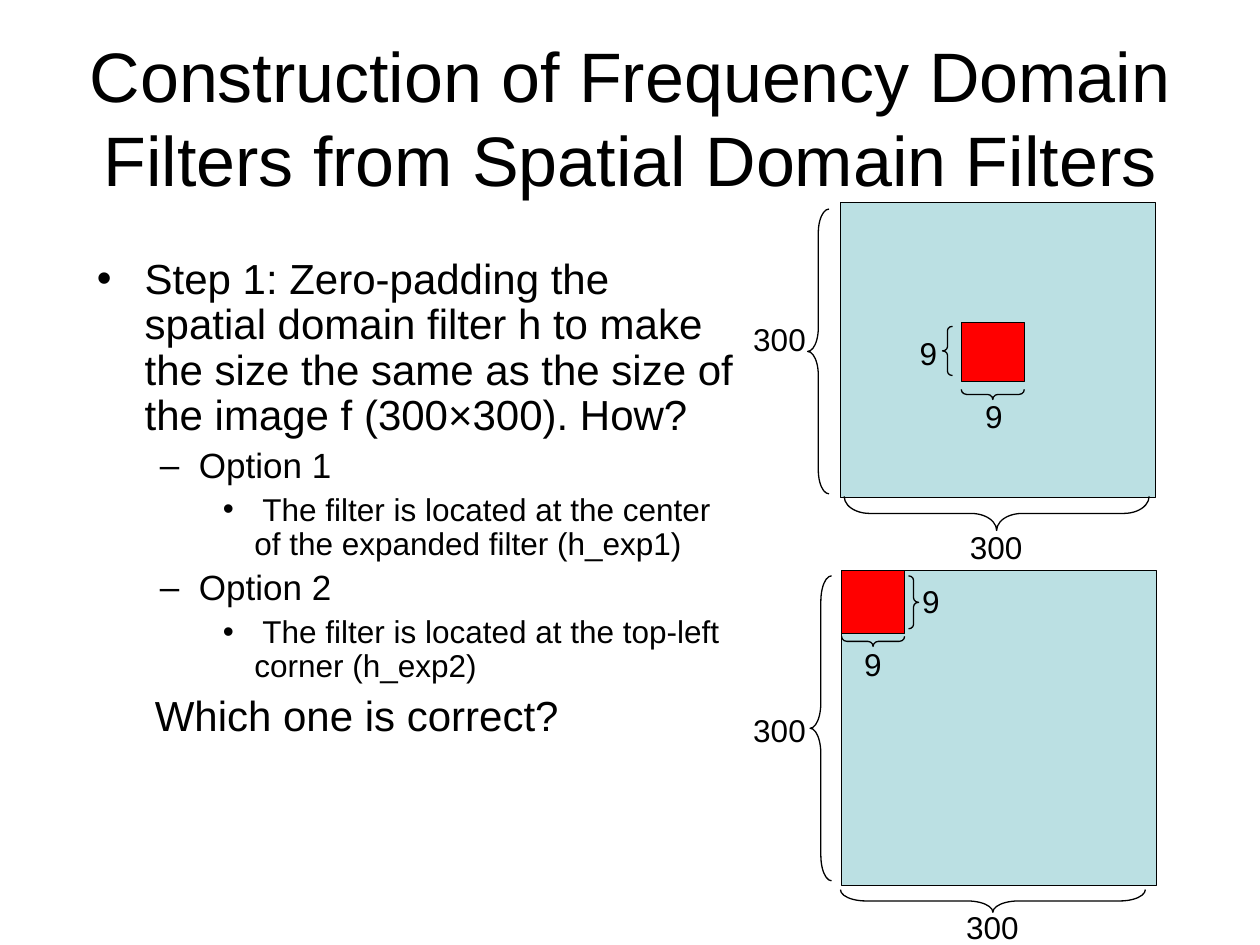
from dataclasses import dataclass
from lxml import etree
from pptx import Presentation
from pptx.dml.color import RGBColor
from pptx.enum.shapes import MSO_SHAPE
from pptx.enum.text import MSO_ANCHOR, PP_ALIGN
from pptx.oxml.ns import qn
from pptx.util import Inches, Pt

RECTANGLE, LEFT_BRACE = MSO_SHAPE.RECTANGLE, MSO_SHAPE.LEFT_BRACE
TOP, MIDDLE = MSO_ANCHOR.TOP, MSO_ANCHOR.MIDDLE
LEFT, CENTER = PP_ALIGN.LEFT, PP_ALIGN.CENTER


@dataclass(frozen=True)
class Theme:
    font: str = "Arial"
    ink: RGBColor = RGBColor(0, 0, 0)
    image: RGBColor = RGBColor(0xBB, 0xE0, 0xE3)
    kernel: RGBColor = RGBColor(0xFF, 0, 0)
    title_size: int = 40
    label_size: int = 18
    line_width: float = 0.75


THEME = Theme()

# Content
TITLE = "Construction of Frequency Domain Filters from Spatial Domain Filters"

# style: size, left margin, first-line indent, space before, bullet
STYLES = {
    "step": (24, 0.38, -0.38, 6, "•"),
    "option": (20, 0.81, -0.31, 5, "–"),
    "detail": (18, 1.25, -0.25, 4.5, "•"),
    "question": (24, 0.46, 0, 6, None),
}
BODY = [
    ("step", "Step 1: Zero-padding the spatial domain filter h to make the size "
             "the same as the size of the image f (300×300). How?"),
    ("option", "Option 1"),
    ("detail", " The filter is located at the center of the expanded filter (h_exp1)"),
    ("option", "Option 2"),
    ("detail", " The filter is located at the top-left corner (h_exp2)"),
    ("question", "Which one is correct?"),
]

# Each diagram: squares as (left, top, width, height);
# braces as (left, top, width, height, direction of the tip);
# labels as (text, left, top)
DIAGRAMS = [
    {   # Option 1: filter in the center
        "image": (6.67, 1.61, 2.5, 2.34),
        "kernel": (7.63, 2.56, 0.5, 0.47),
        "braces": [(6.41, 1.66, 0.17, 2.26, "left"), (6.7, 3.94, 2.42, 0.27, "down"),
                   (7.48, 2.59, 0.08, 0.39, "left"), (7.63, 3.09, 0.5, 0.08, "down")],
        "labels": [("300", 5.88, 2.49), ("300", 7.6, 4.14),
                   ("9", 7.2, 2.6), ("9", 7.72, 3.1)],
    },
    {   # Option 2: filter in the top-left corner
        "image": (6.68, 4.53, 2.5, 2.5),
        "kernel": (6.68, 4.53, 0.5, 0.5),
        "braces": [(6.43, 4.57, 0.17, 2.42, "left"), (6.67, 7.06, 2.42, 0.18, "down"),
                   (7.21, 4.57, 0.08, 0.42, "right"), (6.68, 5.05, 0.5, 0.08, "down")],
        "labels": [("300", 5.88, 5.59), ("300", 7.57, 7.16),
                   ("9", 7.22, 4.57), ("9", 6.76, 5.07)],
    },
]
ROTATIONS = {"left": 0, "right": 180, "down": 270}
LABEL_WIDTHS = {"300": 0.67, "9": 0.33}
LABEL_HEIGHT = 0.4
BRACE_CURVE = 1 / 12  # share of the brace length taken by each curve


def add_text_box(slide, box, anchor=TOP):
    text_frame = slide.shapes.add_textbox(*map(Inches, box)).text_frame
    text_frame.word_wrap = True
    text_frame.vertical_anchor = anchor
    return text_frame


def write(paragraph, text, size, alignment=LEFT):
    paragraph.text = text
    paragraph.alignment = alignment
    for run in paragraph.runs:
        run.font.name = THEME.font
        run.font.size = Pt(size)
        run.font.color.rgb = THEME.ink


def style_body(paragraph, margin, indent, space_before, bullet):
    paragraph.line_spacing = 0.9
    paragraph.space_before = Pt(space_before)
    properties = paragraph._p.get_or_add_pPr()
    properties.set("marL", str(Inches(margin)))
    properties.set("indent", str(Inches(indent)))
    if bullet:
        etree.SubElement(properties, qn("a:buFont"), typeface=THEME.font)
        etree.SubElement(properties, qn("a:buChar"), char=bullet)
    else:
        etree.SubElement(properties, qn("a:buNone"))


def add_outlined(slide, kind, box, fill=None):
    shape = slide.shapes.add_shape(kind, *map(Inches, box))
    shape.shadow.inherit = False
    if fill is None:
        shape.fill.background()
    else:
        shape.fill.solid()
        shape.fill.fore_color.rgb = fill
    shape.line.color.rgb = THEME.ink
    shape.line.width = Pt(THEME.line_width)
    return shape


def add_brace(slide, left, top, width, height, direction):
    # A rotated brace is placed upright around the same center
    depth, length = sorted((width, height))
    box = (left + (width - depth) / 2, top + (height - length) / 2, depth, length)
    brace = add_outlined(slide, LEFT_BRACE, box)
    brace.adjustments[0] = BRACE_CURVE * length / depth
    brace.rotation = ROTATIONS[direction]


def add_diagram(slide, diagram):
    add_outlined(slide, RECTANGLE, diagram["image"], THEME.image)
    add_outlined(slide, RECTANGLE, diagram["kernel"], THEME.kernel)
    for brace in diagram["braces"]:
        add_brace(slide, *brace)
    for text, left, top in diagram["labels"]:
        text_frame = add_text_box(slide, (left, top, LABEL_WIDTHS[text], LABEL_HEIGHT))
        write(text_frame.paragraphs[0], text, THEME.label_size)


def main():
    presentation = Presentation()
    presentation.slide_width, presentation.slide_height = Inches(10), Inches(7.5)
    slide = presentation.slides.add_slide(presentation.slide_layouts[6])

    # Title
    title = add_text_box(slide, (0.5, 0.3, 9, 1.25), MIDDLE)
    write(title.paragraphs[0], TITLE, THEME.title_size, CENTER)

    # Body
    body = add_text_box(slide, (0.67, 2, 5.25, 4.67))
    for index, (style, text) in enumerate(BODY):
        paragraph = body.add_paragraph() if index else body.paragraphs[0]
        size, *layout = STYLES[style]
        write(paragraph, text, size)
        style_body(paragraph, *layout)

    # Diagrams
    for diagram in DIAGRAMS:
        add_diagram(slide, diagram)

    presentation.save("out.pptx")


if __name__ == "__main__":
    main()
